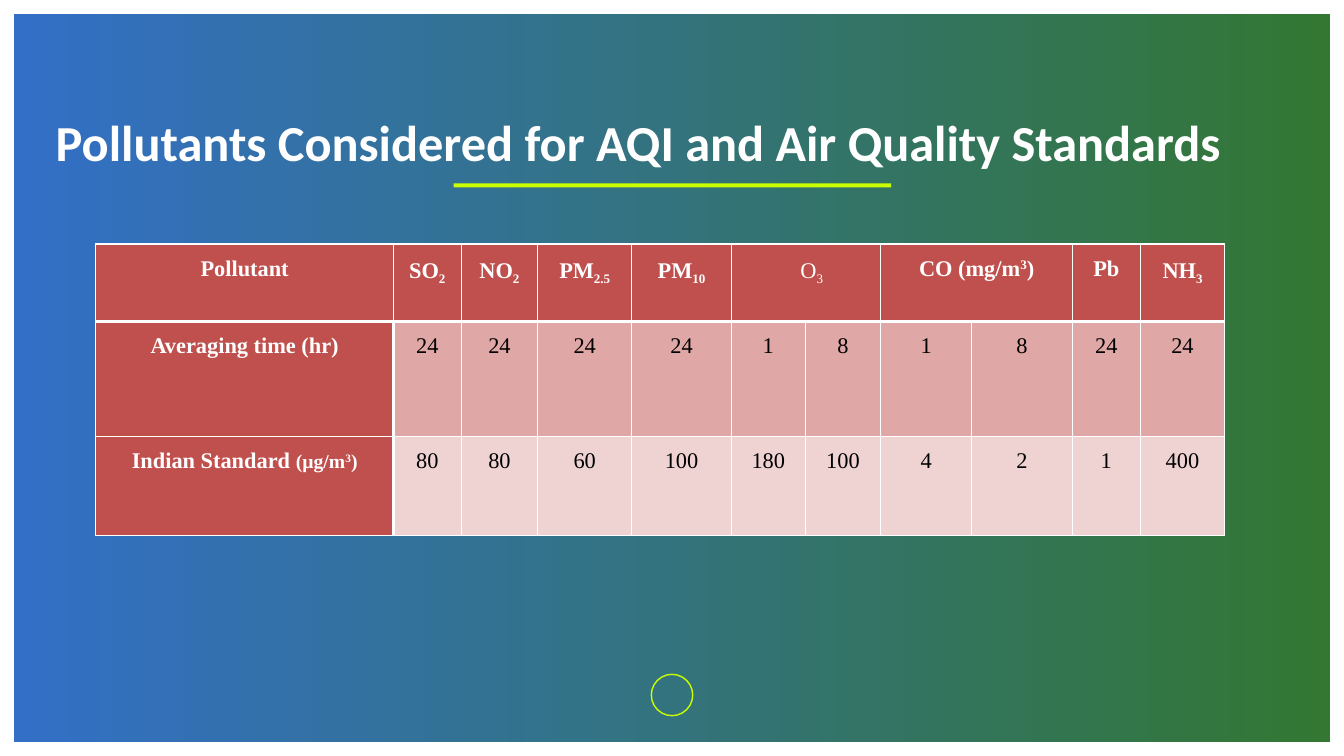
import pptx
import pptx.util
import pptx.dml.color
import pptx.enum.shapes
import pptx.enum.text
import pptx.oxml
import pptx.oxml.ns

COLORS = {
    "white": "FFFFFF", "black": "000000", "blue": "004CB9", "green": "005500",
    "lime": "CBFF00", "red": "C0504D", "rose": "DFA7A6", "pale": "EFD3D2",
}
RGB = {name: pptx.dml.color.RGBColor.from_string(code) for name, code in COLORS.items()}
SUB, SUPER = -25000, 30000
CENTER = pptx.enum.text.PP_ALIGN.CENTER
SHAPES = pptx.enum.shapes.MSO_SHAPE

deck = pptx.Presentation()
deck.slide_width = pptx.util.Inches(13.33)
deck.slide_height = pptx.util.Inches(7.5)
slide = deck.slides.add_slide(deck.slide_layouts[6])


def area(left, top, width, height):
    """Turn percentages of the slide's size into lengths."""
    return [round(share * full / 100) for share, full in
            zip((left, top, width, height), (deck.slide_width, deck.slide_height) * 2)]


def style(run, size, font, color, bold):
    run.font.size = pptx.util.Pt(size)
    run.font.name = font
    run.font.color.rgb = RGB[color]
    run.font.bold = bold


# Translucent gradient backdrop
backdrop = slide.shapes.add_shape(SHAPES.RECTANGLE, *area(1.05, 1.87, 97.9, 96.27))
backdrop.shadow.inherit = False
backdrop.line.fill.background()
backdrop.fill.gradient()
backdrop.fill.gradient_angle = 0
for stop, color in zip(backdrop.fill.gradient_stops, ("blue", "green")):
    stop.color.rgb = RGB[color]
for tint in backdrop._element.spPr.iter(pptx.oxml.ns.qn("a:srgbClr")):
    tint.append(pptx.oxml.parse_xml(
        f'<a:alpha {pptx.oxml.ns.nsdecls("a")} val="80000"/>'))

# Page number ring
ring = slide.shapes.add_shape(SHAPES.OVAL, *area(48.46, 89.2, 3.08, 5.47))
ring.shadow.inherit = False
ring.fill.background()
ring.line.color.rgb = RGB["lime"]
ring.line.width = pptx.util.Pt(1)

# Title and its underline
underline = slide.shapes.add_shape(SHAPES.RECTANGLE, *area(33.75, 24.27, 32.55, 0.53))
underline.shadow.inherit = False
underline.fill.solid()
underline.fill.fore_color.rgb = RGB["lime"]
underline.line.fill.background()

title = slide.shapes.add_textbox(*area(1.65, 14, 91.75, 9.47)).text_frame
title.word_wrap = True
title.auto_size = pptx.enum.text.MSO_AUTO_SIZE.SHAPE_TO_FIT_TEXT
title.text = "Pollutants Considered for AQI and Air Quality Standards"
title.paragraphs[0].alignment = CENTER
style(title.paragraphs[0].runs[0], 36, "Calibri", "white", True)

# Table content: each cell is a list of (text, baseline) pieces
pollutants = [
    [("Pollutant", 0)],
    [("SO", 0), ("2", SUB)], [("NO", 0), ("2", SUB)],
    [("PM", 0), ("2.5", SUB)], [("PM", 0), ("10", SUB)],
    [("O", 0), ("3", SUB)], [],
    [("CO (mg/m", 0), ("3", SUPER), (")", 0)], [],
    [("Pb", 0)], [("NH", 0), ("3", SUB)],
]
hours = [[("Averaging time (hr)", 0)]]
hours += [[(value, 0)] for value in "24 24 24 24 1 8 1 8 24 24".split()]
limits = [[("Indian Standard ", 0), ("(µg/m", 0), ("3", SUPER), (")", 0)]]
limits += [[(value, 0)] for value in "80 80 60 100 180 100 4 2 1 400".split()]
rows = [pollutants, hours, limits]
OZONE, CARBON_MONOXIDE = 5, 7

# Table grid
column_weights = [2.95, 0.67, 0.76, 0.93, 0.99, 0.73, 0.75, 0.9, 1, 0.67, 0.84]
row_weights = [0.77, 1.14, 0.98]
left, top, width, height = area(7.13, 32.27, 84.02, 38.53)
standards = slide.shapes.add_table(len(rows), len(column_weights),
                                   left, top, width, height).table
for column, weight in zip(standards.columns, column_weights):
    column.width = round(width * weight / sum(column_weights))
for row, weight in zip(standards.rows, row_weights):
    row.height = round(height * weight / sum(row_weights))
for start in (OZONE, CARBON_MONOXIDE):
    standards.cell(0, start).merge(standards.cell(0, start + 1))

# Table cells
for r, pieces_by_column in enumerate(rows):
    for c, pieces in enumerate(pieces_by_column):
        cell = standards.cell(r, c)
        heading = r == 0 or c == 0
        ozone_heading = r == 0 and c == OZONE

        # White borders, thick between headings and values
        thick = {"L": r > 0 and c == 1, "R": r > 0 and c == 0, "T": r == 1, "B": r == 0}
        for side, is_thick in thick.items():
            points = 3 if is_thick else 1
            cell._tc.get_or_add_tcPr().append(pptx.oxml.parse_xml(
                f'<a:ln{side} {pptx.oxml.ns.nsdecls("a")} w="{pptx.util.Pt(points)}">'
                f'<a:solidFill><a:srgbClr val="{COLORS["white"]}"/></a:solidFill>'
                f'</a:ln{side}>'))
        cell.fill.solid()
        cell.fill.fore_color.rgb = RGB["red" if heading else ("rose", "pale")[r - 1]]

        cell.margin_left = pptx.util.Inches(0.18 if ozone_heading else 0.07)
        cell.margin_right = pptx.util.Inches(0.07)
        cell.margin_top = cell.margin_bottom = 0
        paragraph = cell.text_frame.paragraphs[0]
        paragraph.alignment = CENTER
        paragraph.line_spacing = 1.5
        for n, (text, baseline) in enumerate(pieces):
            run = paragraph.add_run()
            run.text = text
            unit = r == 2 and c == 0 and n > 0
            style(run, 14 if unit else 16, "Times New Roman",
                  "white" if heading else "black", heading and not ozone_heading)
            if baseline:
                run.font._element.set("baseline", str(baseline))

deck.save("out.pptx")
